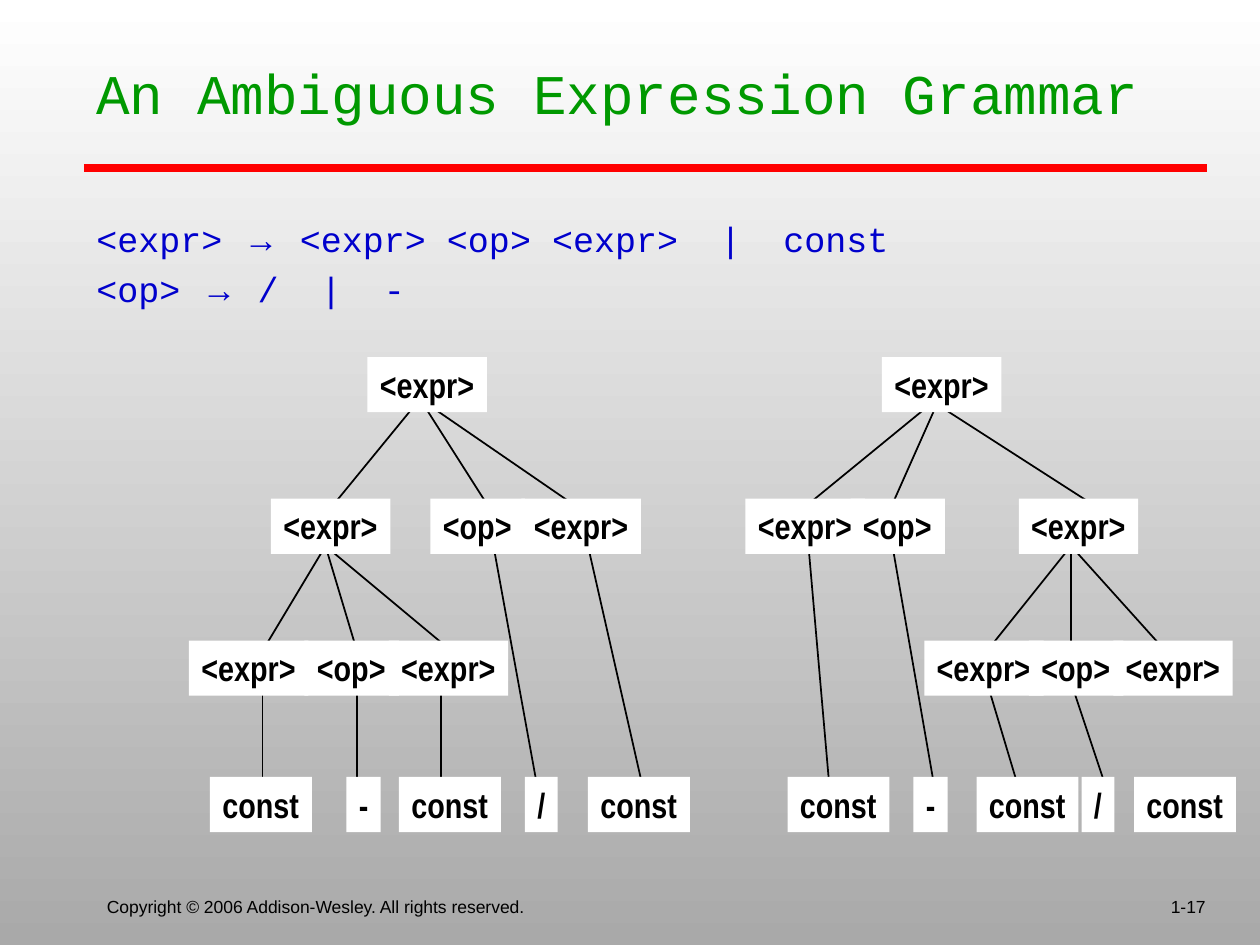
from pptx import Presentation
from pptx.dml.color import RGBColor
from pptx.enum.shapes import MSO_CONNECTOR, MSO_SHAPE
from pptx.enum.text import MSO_ANCHOR, MSO_AUTO_SIZE, PP_ALIGN
from pptx.oxml.ns import qn
from pptx.util import Pt
from lxml import etree

LINE = MSO_CONNECTOR.STRAIGHT
RECT = MSO_SHAPE.RECTANGLE
TOP, BOTTOM = MSO_ANCHOR.TOP, MSO_ANCHOR.BOTTOM
LEFT, RIGHT = PP_ALIGN.LEFT, PP_ALIGN.RIGHT
GROW = MSO_AUTO_SIZE.SHAPE_TO_FIT_TEXT

WHITE = RGBColor(255, 255, 255)
GRAY = RGBColor(169, 169, 169)
BLACK = RGBColor(0, 0, 0)
RED = RGBColor(255, 0, 0)
GREEN = RGBColor(0, 153, 0)
BLUE = RGBColor(0, 0, 204)

TITLE = "An Ambiguous Expression Grammar"
RULES = [
    ("<expr> ", " <expr> <op> <expr>  |  const"),
    ("<op> ", " /  |  -"),
]
FOOTER = [
    ("Copyright © 2006 Addison-Wesley. All rights reserved.", 54, 330, LEFT),
    ("1-17", 546, 150, RIGHT),
]

ROWS = [204, 285, 366, 444]
HIGH = 31.5
NODES = [
    ("<expr>", 68.25, [(210, 504), (154.8, 298, 426, 582.2),
                       (108, 222.2, 528.2, 636.2), ()]),
    ("<op>", 54, [(), (486, 246), (174, 588), ()]),
    ("const", 58.25, [(), (), (), (120, 228, 336, 450, 558, 648)]),
    ("-", 19.5, [(), (), (), (198, 522)]),
    ("/", 18.75, [(), (), (), (300, 618)]),
]
EDGES = [
    (228, 294, [(240, 186), (240, 336), (240, 282)]),
    (234, 288, [(528, 462), (540, 624), (534, 510)]),
    (312, 372, [(186, 150), (186, 258), (186, 204),
                (612, 564), (612, 666), (612, 612)]),
    (390, 450, [(150, 150), (204, 204), (252, 252), (564, 582)]),
    (390, 444, [(612, 630)]),
    (312, 444, [(282, 306), (336, 366)]),
    (312, 450, [(462, 474), (510, 534)]),
]


def style(para, name, size, color, bold=False):
    font = para.font
    font.name, font.size, font.bold = name, Pt(size), bold
    font.color.rgb = color


def add_line(x1, y1, x2, y2, color, width):
    line = shapes.add_connector(LINE, Pt(x1), Pt(y1), Pt(x2), Pt(y2))
    line.line.color.rgb = color
    line.line.width = Pt(width)
    etree.SubElement(line._element.spPr, qn("a:effectLst"))


def add_box(x, y, w, h, anchor=TOP):
    frame = shapes.add_textbox(Pt(x), Pt(y), Pt(w), Pt(h)).text_frame
    frame.word_wrap = True
    frame.vertical_anchor = anchor
    return frame


def add_node(word, x, y, w):
    node = shapes.add_shape(RECT, Pt(x), Pt(y), Pt(w), Pt(HIGH))
    node.shadow.inherit = False
    node.fill.solid()
    node.fill.fore_color.rgb = WHITE
    node.line.fill.background()
    frame = node.text_frame
    frame.word_wrap = False
    frame.auto_size = GROW
    frame.vertical_anchor = TOP
    para = frame.paragraphs[0]
    para.text, para.alignment = word, LEFT
    style(para, "Arial Narrow", 20, BLACK, True)


deck = Presentation()
deck.slide_width, deck.slide_height = Pt(720), Pt(540)
slide = deck.slides.add_slide(deck.slide_layouts[6])
shapes = slide.shapes

back = slide.background.fill
back.gradient()
back.gradient_angle = 270
for stop, color, place in zip(back.gradient_stops, (WHITE, GRAY), (0, 1)):
    stop.color.rgb, stop.position = color, place

add_line(48, 96, 690, 96, RED, 4.5)
for text, x, w, align in FOOTER:
    para = add_box(x, 491.5, w, 36, BOTTOM).paragraphs[0]
    para.text, para.alignment = text, align
    style(para, "Arial", 10, BLACK)

para = add_box(48, 30, 642, 90).paragraphs[0]
para.text = TITLE
style(para, "Courier New", 32, GREEN)

body = add_box(48, 120.5, 588, 372)
for i, (head, tail) in enumerate(RULES):
    para = body.add_paragraph() if i else body.paragraphs[0]
    if i:
        para.space_before = Pt(5)
    for text, name in ((head, "Courier New"), ("→", "Arial"),
                       (tail, "Courier New")):
        run = para.add_run()
        run.text, run.font.name = text, name
    para.font.size = Pt(20)
    para.font.color.rgb = BLUE

for y1, y2, pairs in EDGES:
    for x1, x2 in pairs:
        add_line(x1, y1, x2, y2, BLACK, 1)

for word, w, levels in NODES:
    for y, lefts in zip(ROWS, levels):
        for x in lefts:
            add_node(word, x, y, w)

deck.save("out.pptx")
